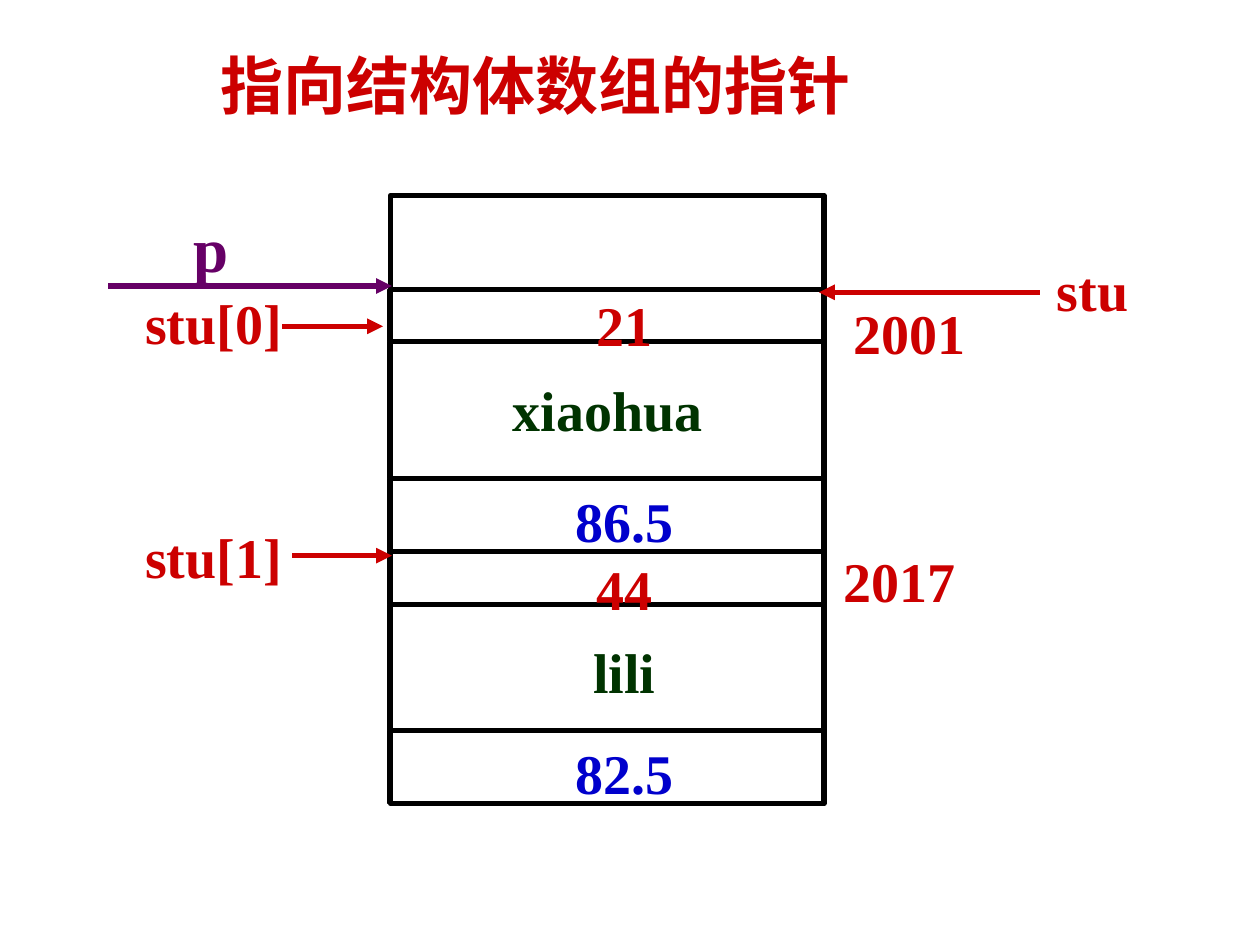
"""Draw a structure array in memory with the pointers into it."""
import dataclasses
import itertools

import lxml.etree
import pptx
import pptx.dml.color
import pptx.enum.shapes
import pptx.enum.text
import pptx.oxml.ns
import pptx.shapes.autoshape
import pptx.shapes.connector
import pptx.slide
import pptx.util

Inches = pptx.util.Inches
Anchor = pptx.enum.text.MSO_ANCHOR


@dataclasses.dataclass(frozen=True)
class Theme:
    font: str = "Times New Roman"
    black: str = "000000"
    red: str = "CC0000"
    green: str = "003300"
    blue: str = "0000CC"
    purple: str = "660066"
    label_size: int = 32
    large_size: int = 36
    thin: float = 0.75
    thick: float = 3


THEME = Theme()


@dataclasses.dataclass(frozen=True)
class Label:
    text: str
    left: float
    top: float
    width: float = 2.05
    height: float = 0.63
    color: str = THEME.red
    size: int = THEME.label_size


@dataclasses.dataclass(frozen=True)
class Arrow:
    start: float
    end: float
    y: float
    color: str = THEME.red


FRAME_LEFT, FRAME_TOP, FRAME_WIDTH, FRAME_HEIGHT = 3.1, 1.55, 3.44, 4.83
FIELD_LEFT, FIELD_WIDTH, FIRST_FIELD_TOP = 3.08, 3.46, 2.3
FIELD_HEIGHTS = (0.41, 1.09, 0.58, 0.42, 1.0, 0.58)
SEPARATOR_RIGHT = 6.53
VALUE_LEFT = 3.93
MEMBER_LEFT = 0.67

LABELS = (
    Label("21", VALUE_LEFT, 2.21),
    Label("xiaohua", 3.67, 2.88, width=2.31, color=THEME.green),
    Label("86.5", VALUE_LEFT, 3.76, color=THEME.blue),
    Label("44", VALUE_LEFT, 4.3),
    Label("lili", VALUE_LEFT, 4.96, color=THEME.green),
    Label("82.5", VALUE_LEFT, 5.76, color=THEME.blue),
    Label("stu[0]", MEMBER_LEFT, 2.19),
    Label("stu[1]", MEMBER_LEFT, 4.05),
    Label("stu", 8.01, 1.93, width=1.32),
    Label("2001", 6.26, 2.27, width=1.92),
    Label("2017", 6.18, 4.24, width=1.92),
    Label("p", 1.3, 1.56, 0.75, 0.7, THEME.purple, THEME.large_size),
)
TITLE = Label("指向结构体数组的指针", 1.14, 0.28, 6.22, 0.78, size=THEME.large_size)

ARROWS = (
    Arrow(2.24, 3.04, 2.59),
    Arrow(2.32, 3.11, 4.41),
    Arrow(8.25, 6.5, 2.32),
    Arrow(0.86, 3.11, 2.27, THEME.purple),
)


def rgb(color: str) -> pptx.dml.color.RGBColor:
    """Turn a hexadecimal string into a colour."""
    return pptx.dml.color.RGBColor.from_string(color)


def add_outline(
    page: pptx.slide.Slide, left: float, top: float, width: float, height: float, weight: float
) -> pptx.shapes.autoshape.Shape:
    """Draw an unfilled black rectangle."""
    box = page.shapes.add_shape(
        pptx.enum.shapes.MSO_SHAPE.RECTANGLE,
        Inches(left), Inches(top), Inches(width), Inches(height),
    )
    box.shadow.inherit = False
    box.fill.background()
    box.line.color.rgb = rgb(THEME.black)
    box.line.width = pptx.util.Pt(weight)
    return box


def add_line(
    page: pptx.slide.Slide, start: float, end: float, y: float, color: str
) -> pptx.shapes.connector.Connector:
    """Draw a thick horizontal line."""
    line = page.shapes.add_connector(
        pptx.enum.shapes.MSO_CONNECTOR.STRAIGHT,
        Inches(start), Inches(y), Inches(end), Inches(y),
    )
    line.line.color.rgb = rgb(color)
    line.line.width = pptx.util.Pt(THEME.thick)
    lxml.etree.SubElement(line._element.spPr, pptx.oxml.ns.qn("a:effectLst"))
    return line


def add_arrow(page: pptx.slide.Slide, arrow: Arrow) -> None:
    """Draw a line with a triangle at its end."""
    line = add_line(page, arrow.start, arrow.end, arrow.y, arrow.color)
    outline = line.line._get_or_add_ln()
    lxml.etree.SubElement(outline, pptx.oxml.ns.qn("a:tailEnd"), type="triangle")


def add_text(
    page: pptx.slide.Slide,
    label: Label,
    *,
    anchor: Anchor = Anchor.TOP,
    margin_top: float = 0.1,
    margin_bottom: float = 0.02,
) -> None:
    """Write a centred bold label."""
    box = page.shapes.add_textbox(
        Inches(label.left), Inches(label.top), Inches(label.width), Inches(label.height)
    )
    frame = box.text_frame
    frame.word_wrap = True
    frame.vertical_anchor = anchor
    frame.margin_top = Inches(margin_top)
    frame.margin_bottom = Inches(margin_bottom)
    para = frame.paragraphs[0]
    para.alignment = pptx.enum.text.PP_ALIGN.CENTER
    span = para.add_run()
    span.text = label.text
    span.font.name = THEME.font
    span.font.size = pptx.util.Pt(label.size)
    span.font.bold = True
    span.font.color.rgb = rgb(label.color)


def add_memory(page: pptx.slide.Slide) -> None:
    """Draw the memory column with its fields and separators."""
    tops = list(itertools.accumulate(FIELD_HEIGHTS[:-1], initial=FIRST_FIELD_TOP))
    for top, height in zip(tops, FIELD_HEIGHTS):
        add_outline(page, FIELD_LEFT, top, FIELD_WIDTH, height, THEME.thin)
    add_outline(page, FRAME_LEFT, FRAME_TOP, FRAME_WIDTH, FRAME_HEIGHT, THEME.thick)
    for top in tops:
        add_line(page, FRAME_LEFT, SEPARATOR_RIGHT, top, THEME.black)


def main() -> None:
    """Build and save the deck."""
    deck = pptx.Presentation()
    deck.slide_width, deck.slide_height = Inches(10), Inches(7.5)
    page = deck.slides.add_slide(deck.slide_layouts[6])
    add_memory(page)
    for label in LABELS:
        add_text(page, label)
    for arrow in ARROWS:
        add_arrow(page, arrow)
    add_text(page, TITLE, anchor=Anchor.MIDDLE, margin_top=0.05, margin_bottom=0.05)
    deck.save("out.pptx")


if __name__ == "__main__":
    main()
